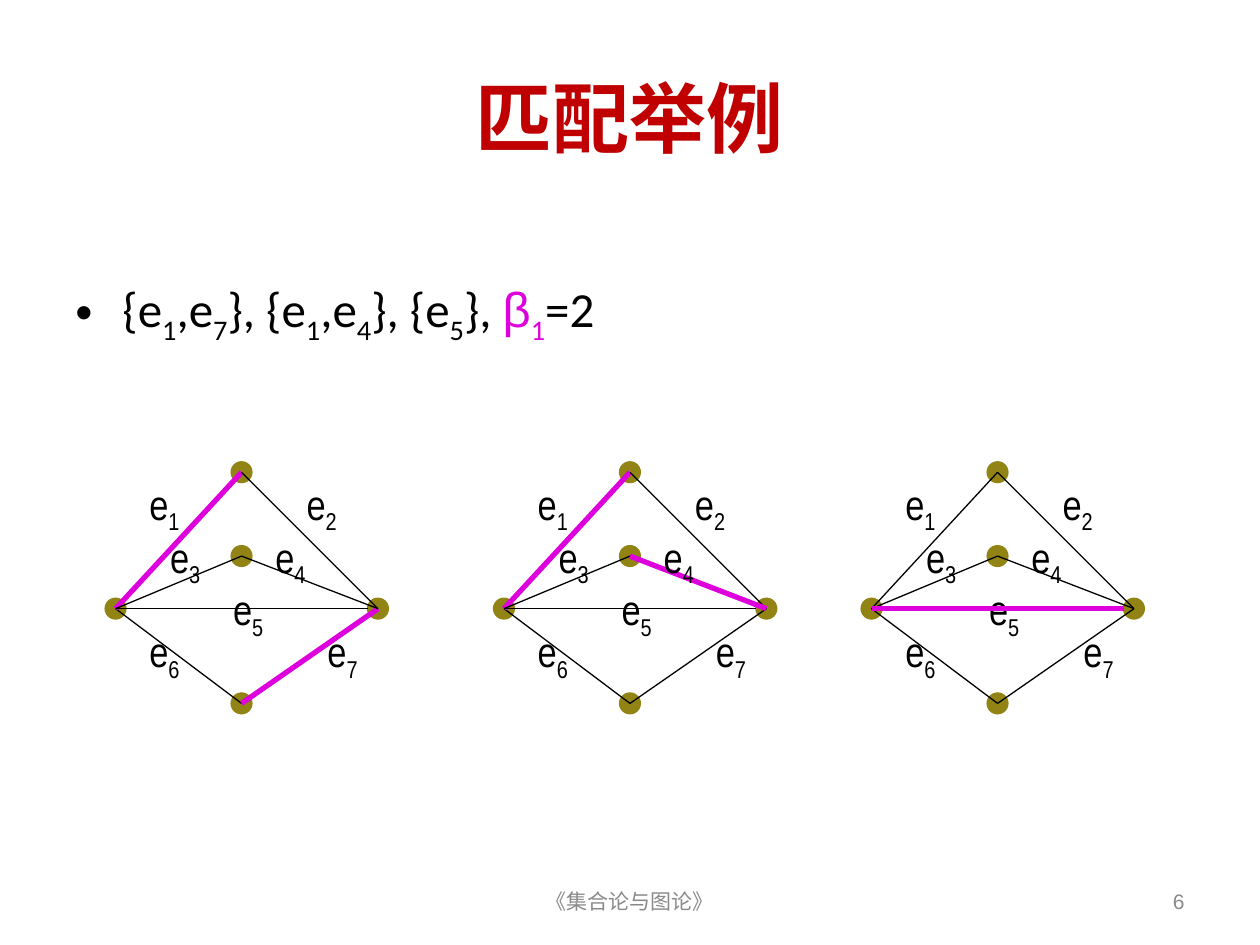
from lxml import etree
from pptx import Presentation
from pptx import util as u
from pptx.dml.color import RGBColor
from pptx.enum import shapes, text
from pptx.oxml.ns import qn

HUE = {"title": "C00000", "ink": "000000", "match": "DD00DD",
       "node": "918415", "foot": "898989"}
NODES = {"top": (2.75, 0.21), "mid": (2.75, 1.9), "low": (2.75, 4.87),
         "west": (0.21, 2.96), "east": (5.5, 2.96), "stop": (5.29, 2.96)}
EDGES = {6: ("low", "west"), 7: ("low", "east"), 1: ("west", "top"),
         2: ("east", "top"), 3: ("west", "mid"), 4: ("east", "mid"),
         5: ("west", "stop")}
LABELS = {1: (0.64, 0.21), 2: (3.81, 0.21), 3: (1.06, 1.27), 4: (3.18, 1.27),
          6: (0.64, 3.18), 7: (4.23, 3.18), 5: (2.33, 2.33)}
RADIUS = 0.21


def style(font, name, size, hue):
    """Set the face, size and colour of a font."""
    font.name, font.size = name, u.Pt(size)
    font.color.rgb = RGBColor.from_string(HUE[hue])


def add_box(slide, box):
    """Add a wrapping text box and return its frame."""
    frame = slide.shapes.add_textbox(*map(u.Cm, box)).text_frame
    frame.word_wrap = True
    return frame


def add_sub(para, words, name, size, hue, low=False):
    """Append one run, lowered when it is a subscript."""
    run = para.add_run()
    run.text = words
    style(run.font, name, size, hue)
    if low:
        run._r.get_or_add_rPr().set("baseline", "-25000")


def add_title(slide, box):
    """Place and format the title placeholder."""
    title = slide.shapes.title
    title.left, title.top, title.width, title.height = map(u.Cm, box)
    frame = title.text_frame
    frame.text = "匹配举例"
    frame.vertical_anchor = text.MSO_ANCHOR.MIDDLE
    para = frame.paragraphs[0]
    para.alignment = text.PP_ALIGN.CENTER
    font = para.runs[0].font
    style(font, "Calibri", 44, "title")
    font.bold = True


def add_list(slide, box):
    """Write the bulleted line of matchings."""
    para = add_box(slide, box).paragraphs[0]
    props = para._p.get_or_add_pPr()
    props.set("marL", str(u.Cm(0.95)))
    props.set("indent", str(u.Cm(-0.95)))
    etree.SubElement(props, qn("a:buFont")).set("typeface", "Arial")
    etree.SubElement(props, qn("a:buChar")).set("char", "•")
    for words, sub in (("{e", "1"), (",e", "7"), ("}, {e", "1"),
                       (",e", "4"), ("}, {e", "5")):
        add_sub(para, words, "Calibri", 28, "ink")
        add_sub(para, sub, "Calibri", 28, "ink", True)
    add_sub(para, "}, ", "Calibri", 28, "ink")
    add_sub(para, "β", "Arial", 28, "match")
    add_sub(para, "1", "Calibri", 28, "match", True)
    add_sub(para, "=2", "Calibri", 28, "ink")


def add_foot(slide, box, words, align):
    """Write one footer item."""
    frame = add_box(slide, box)
    frame.text = words
    frame.vertical_anchor = text.MSO_ANCHOR.MIDDLE
    para = frame.paragraphs[0]
    para.alignment = align
    style(para.runs[0].font, "Arial", 12, "foot")


def add_node(slide, x, y):
    """Draw a vertex centred on a point."""
    dot = slide.shapes.add_shape(
        shapes.MSO_SHAPE.OVAL, u.Cm(x - RADIUS), u.Cm(y - RADIUS),
        u.Cm(2 * RADIUS), u.Cm(2 * RADIUS))
    dot.shadow.inherit = False
    dot.fill.solid()
    dot.fill.fore_color.rgb = RGBColor.from_string(HUE["node"])
    dot.line.color.rgb = RGBColor.from_string(HUE["node"])
    dot.line.width = u.Pt(0.75)


def add_edge(slide, start, end, match):
    """Draw an edge, thick and coloured when it is matched."""
    edge = slide.shapes.add_connector(
        shapes.MSO_CONNECTOR.STRAIGHT, *map(u.Cm, start + end))
    edge.line.color.rgb = RGBColor.from_string(HUE["match" if match else "ink"])
    edge.line.width = u.Pt(3 if match else 0.75)
    etree.SubElement(edge._element.spPr, qn("a:effectLst"))


def add_graph(slide, left, top, match):
    """Draw the graph with its matched edges marked."""
    spots = {key: (left + x, top + y) for key, (x, y) in NODES.items()}
    for key in ("top", "mid", "low", "west", "east"):
        add_node(slide, *spots[key])
    for num, (start, end) in EDGES.items():
        if num == 5:
            for tag, (x, y) in LABELS.items():
                para = add_box(slide, (left + x, top + y, 1.27, 1.42)).paragraphs[0]
                add_sub(para, "e", "Arial Narrow", 24, "ink")
                add_sub(para, str(tag), "Arial Narrow", 24, "ink", True)
        add_edge(slide, spots[start], spots[end], num in match)


def main():
    """Build and save the slide."""
    deck = Presentation()
    deck.slide_width, deck.slide_height = u.Cm(25.4), u.Cm(19.05)
    slide = deck.slides.add_slide(deck.slide_layouts[5])
    add_title(slide, (1.27, 0.76, 22.86, 3.18))
    add_list(slide, (1.27, 5.5, 22.86, 4.8))
    add_foot(slide, (8.68, 17.66, 8.04, 1.01), "《集合论与图论》",
             text.PP_ALIGN.CENTER)
    add_foot(slide, (18.2, 17.66, 5.93, 1.01), "6", text.PP_ALIGN.RIGHT)
    for left, match in ((2.12, {1, 7}), (9.95, {1, 4}), (17.36, {5})):
        add_graph(slide, left, 9.31, match)
    deck.save("out.pptx")


if __name__ == "__main__":
    main()
